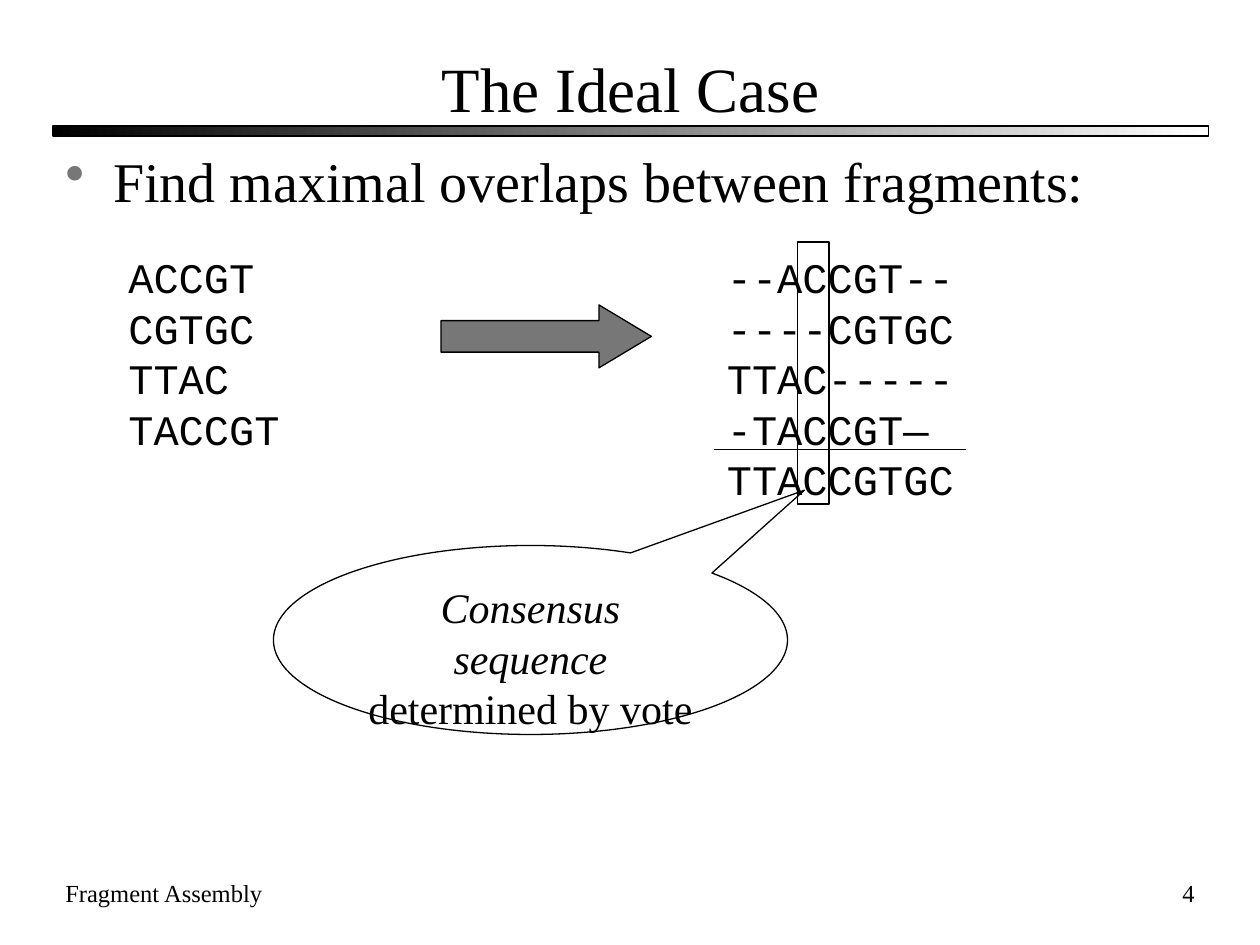
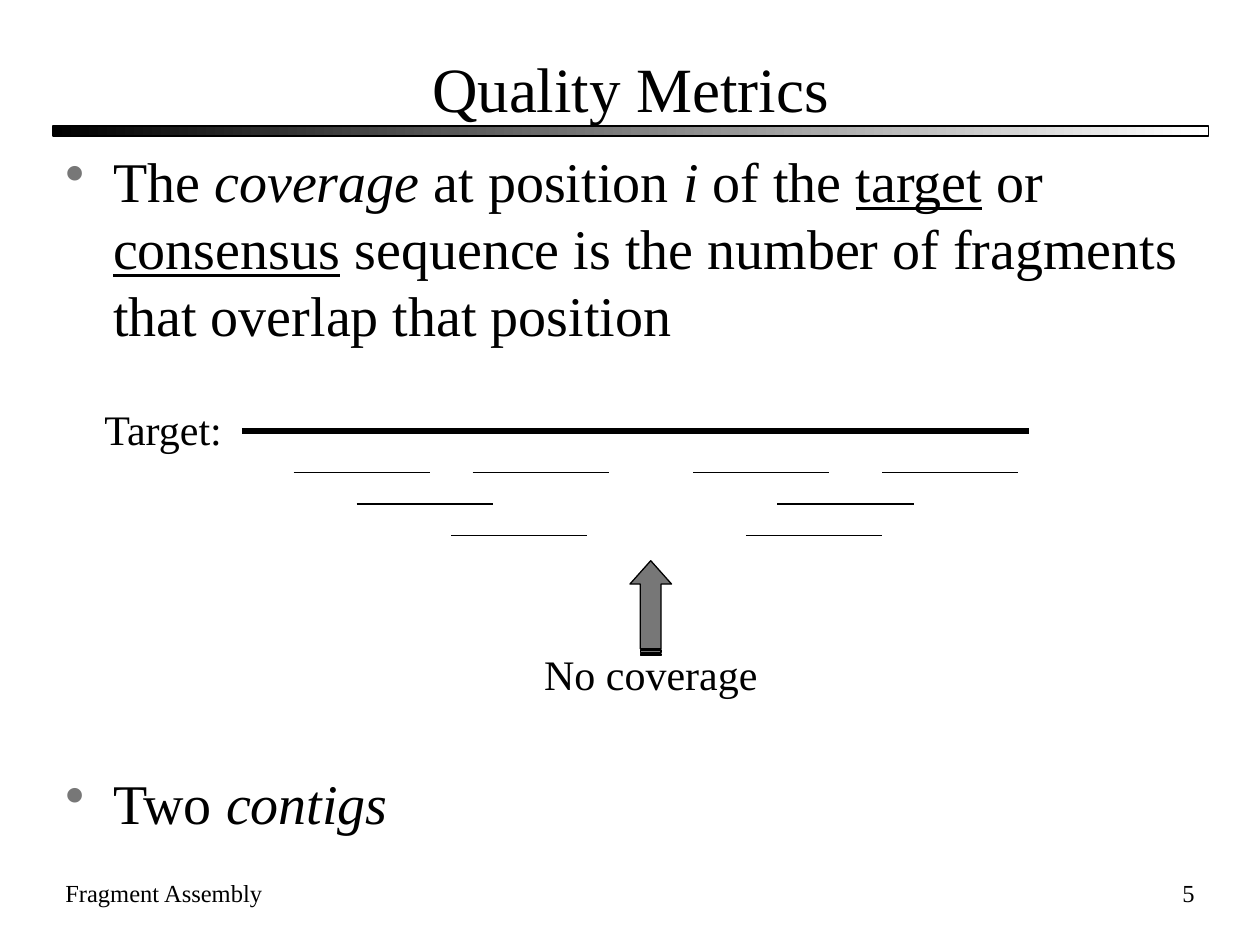
from lxml import etree
from pptx import Presentation
from pptx.dml.color import RGBColor
from pptx.enum import shapes, text
from pptx.oxml import ns
from pptx.util import Inches, Pt

BLACK = RGBColor(0, 0, 0)
WHITE = RGBColor(255, 255, 255)
GRAY = RGBColor(0x77, 0x77, 0x77)
SERIF = "Times New Roman"
MONO = "Courier New"
LEFT, WIDTH = 0.42, 9.17
SHAPE = shapes.MSO_SHAPE
ALIGN = text.PP_ALIGN


def add_runs(p, runs, size, font):
    for words, style in runs:
        r = p.add_run()
        r.text = words
        r.font.name = font
        r.font.size = Pt(size)
        r.font.color.rgb = BLACK
        r.font.italic = style == "i"
        r.font.underline = style == "u"


def fill_text(tf, paragraphs, size, font=SERIF, align=ALIGN.LEFT, drop=0, wrap=True):
    tf.word_wrap = wrap
    tf.margin_left = tf.margin_right = Inches(0.1)
    tf.margin_top, tf.margin_bottom = Inches(0.05 + drop), Inches(0.05)
    for i, runs in enumerate(paragraphs):
        p = tf.add_paragraph() if i else tf.paragraphs[0]
        p.alignment = align
        if drop:
            p.line_spacing = Pt(round(1.2 * size, 1))
        add_runs(p, runs, size, font)


def add_text(s, box, paragraphs, size, **options):
    tf = s.shapes.add_textbox(*map(Inches, box)).text_frame
    fill_text(tf, paragraphs, size, **options)
    return tf


def add_bullet(s, box, runs):
    tf = add_text(s, box, [runs], 32, drop=0.03)
    pPr = tf.paragraphs[0]._p.get_or_add_pPr()
    pPr.set("marL", str(Inches(0.38)))
    pPr.set("indent", str(-Inches(0.38)))
    color = etree.SubElement(pPr, ns.qn("a:buClr"))
    etree.SubElement(color, ns.qn("a:srgbClr"), val=str(GRAY))
    etree.SubElement(pPr, ns.qn("a:buChar"), char="•")


def add_outlined(s, kind, box, fill=None, adjustments=()):
    sp = s.shapes.add_shape(kind, *map(Inches, box))
    sp.shadow.inherit = False
    sp.line.color.rgb = BLACK
    sp.line.width = Pt(0.75)
    if fill is None:
        sp.fill.background()
    else:
        sp.fill.solid()
        sp.fill.fore_color.rgb = fill
    for i, value in enumerate(adjustments):
        sp.adjustments[i] = value
    return sp


def add_rule(s, x, y, length, weight=0.75):
    line = s.shapes.add_connector(
        shapes.MSO_CONNECTOR.STRAIGHT, Inches(x), Inches(y), Inches(x + length), Inches(y))
    line.line.color.rgb = BLACK
    line.line.width = Pt(weight)
    etree.SubElement(line._element.spPr, ns.qn("a:effectLst"))


def add_frame(prs, title, number):
    s = prs.slides.add_slide(prs.slide_layouts[6])
    band = add_outlined(s, SHAPE.RECTANGLE, (LEFT, 1, WIDTH, 0.08))
    band.fill.gradient()
    band.fill.gradient_angle = 0
    for stop, color in zip(band.fill.gradient_stops, (BLACK, WHITE)):
        stop.color.rgb = color
    tf = add_text(s, (LEFT, 0.33, WIDTH, 0.67), [[(title, "")]], 36,
                  align=ALIGN.CENTER, drop=0.06)
    tf.vertical_anchor = text.MSO_ANCHOR.MIDDLE
    add_text(s, (LEFT, 6.92, 3.5, 0.5), [[("Fragment Assembly", "")]], 14)
    add_text(s, (7.5, 6.92, 2.08, 0.5), [[(str(number), "")]], 14, align=ALIGN.RIGHT)
    return s


def add_sequences(s, box, sequences):
    add_text(s, box, [[(sequence, "")] for sequence in sequences], 24, font=MONO, drop=0.03)


def add_alignment(s, x, y):
    add_sequences(s, (x, y, 2.42, 2.1),
                  ["--ACCGT--", "----CGTGC", "TTAC-----", "-TACCGT—", "TTACCGTGC"])
    add_rule(s, x, y + 1.65, 2)
    add_outlined(s, SHAPE.RECTANGLE, (x + 0.66, y, 0.25, 2.08))


def add_consensus_callout(s, box):
    sp = add_outlined(s, SHAPE.OVAL_CALLOUT, box, adjustments=(0.533, -0.793))
    tf = sp.text_frame
    tf.vertical_anchor = text.MSO_ANCHOR.TOP
    fill_text(tf, [[("Consensus sequence", "i"), (" determined by vote", "")]], 24,
              align=ALIGN.CENTER, drop=0.02)


def add_coverage_map(s, x, y):
    add_text(s, (x - 1.19, y - 0.29, 1.16, 0.5), [[("Target:", "")]], 24,
             drop=0.02, wrap=False)
    add_rule(s, x, y, 6.25, 3)
    fragment_rows = [(0.41, 1.83, 3.58, 5.08), (0.91, 4.25), (1.66, 4)]
    for row, starts in enumerate(fragment_rows):
        for start in starts:
            add_rule(s, x + start, y + 0.33 + 0.25 * row, 1.08)
    arrow = add_outlined(s, SHAPE.STRIPED_RIGHT_ARROW, (x + 2.87, y + 1.24, 0.75, 0.33),
                         GRAY, (0.5, 0.56))
    arrow.rotation = 270
    add_text(s, (x + 2.3, y + 1.66, 1.89, 0.5), [[("No coverage", "")]], 24,
             drop=0.02, wrap=False)


def build_ideal_case(prs):
    s = add_frame(prs, "The Ideal Case", 4)
    add_bullet(s, (LEFT, 1.08, WIDTH, 0.75),
               [("Find maximal overlaps between fragments:", "")])
    add_sequences(s, (0.92, 1.92, 1.92, 1.7), ["ACCGT", "CGTGC", "TTAC", "TACCGT"])
    add_alignment(s, 5.67, 1.92)
    add_outlined(s, SHAPE.RIGHT_ARROW, (3.5, 2.42, 1.67, 0.5), GRAY, (0.5, 0.833))
    add_consensus_callout(s, (2.17, 4.33, 4.08, 1.5))


def build_quality_metrics(prs):
    s = add_frame(prs, "Quality Metrics", 5)
    add_bullet(s, (LEFT, 1.08, WIDTH, 1.75), [
        ("The ", ""), ("coverage", "i"), (" at position ", ""), ("i", "i"),
        (" of the ", ""), ("target", "u"), (" or ", ""), ("consensus", "u"),
        (" sequence is the number of fragments that overlap that position", "")])
    add_coverage_map(s, 1.92, 3.42)
    add_bullet(s, (LEFT, 6.02, WIDTH, 0.75), [("Two ", ""), ("contigs", "i")])


def main():
    prs = Presentation()
    prs.slide_width, prs.slide_height = Inches(10), Inches(7.5)
    build_ideal_case(prs)
    build_quality_metrics(prs)
    prs.save("out.pptx")


if __name__ == "__main__":
    main()
